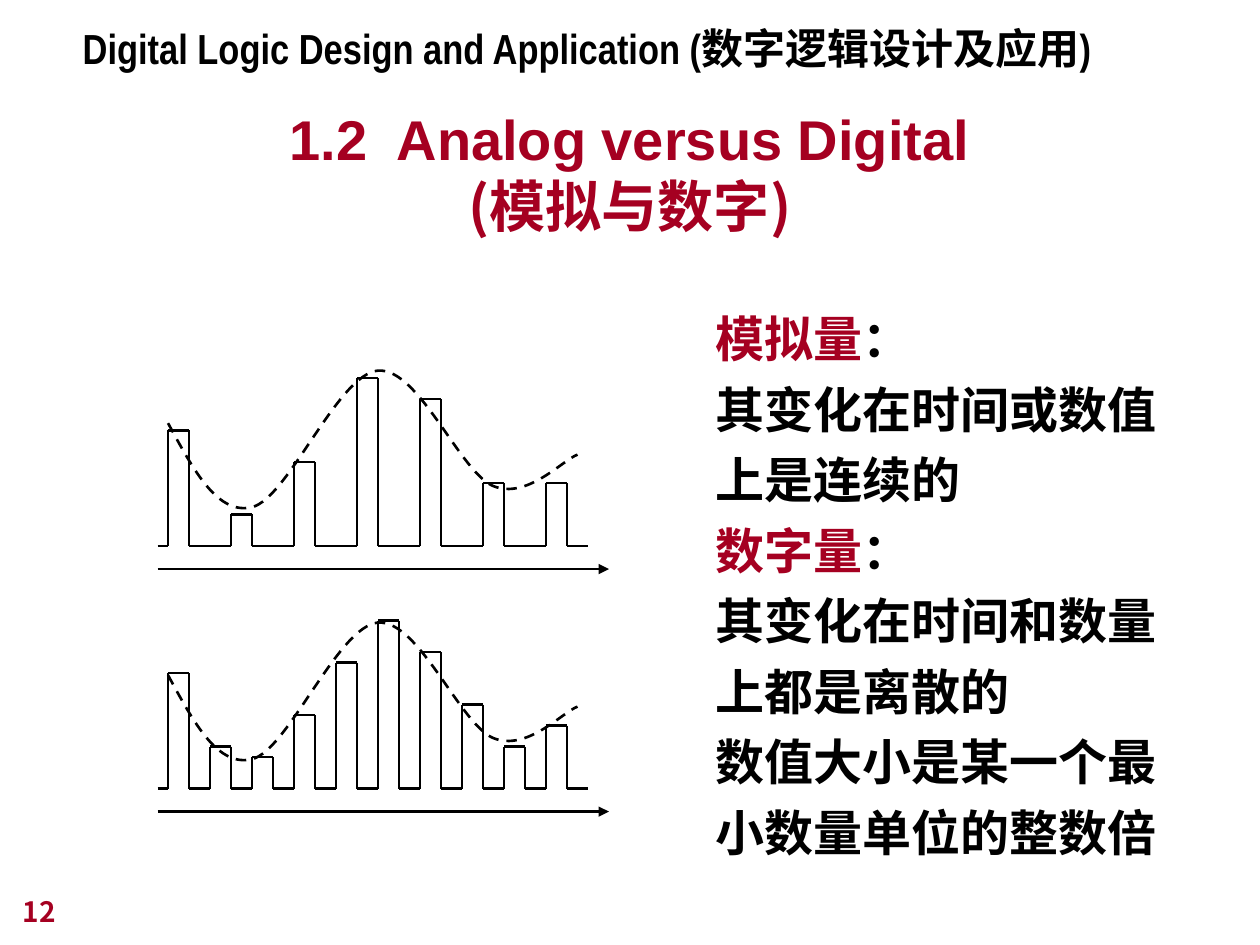
from itertools import pairwise
from lxml import etree
from pptx import Presentation, util as u
from pptx.dml.color import RGBColor
from pptx.enum import dml, shapes, text
from pptx.oxml import ns

CELL = u.Inches(1) / 12
RED, BLACK = "A50021", "000000"
SANS = "Noto Sans CJK SC"
WAVE = [(0, 5.3), (2.4, 9.7), (4.7, 14.1), (8, 13.3), (11.4, 12.5), (16.2, 0.6), (20, 0.3),
        (23.9, 0), (27.8, 10), (31, 11.3), (34.2, 12.6), (37.6, 8.8), (39, 8.3)]


def hue(code):
    """Turn a hex string into a colour."""
    return RGBColor.from_string(code)


def span(*cells):
    """Turn twelfths of an inch into whole lengths."""
    return [u.Emu(round(n * CELL)) for n in cells]


def add(node, tag, **attrs):
    """Append a drawing element to a node."""
    return etree.SubElement(node, ns.qn(tag), attrs)


def write(para, words, size, face, code, east=SANS):
    """Add one bold run to a paragraph."""
    run = para.add_run()
    run.text = words
    font = run.font
    font.size, font.name, font.bold = u.Pt(size), face, True
    font.color.rgb = hue(code)
    add(font._element, "a:ea", typeface=east)


def frame(shape, wrap=True, low=False):
    """Set the margins, wrap and anchor of a text shape."""
    body = shape.text_frame
    body.auto_size = text.MSO_AUTO_SIZE.NONE
    body.word_wrap = wrap
    body.vertical_anchor = text.MSO_ANCHOR.BOTTOM if low else text.MSO_ANCHOR.TOP
    body.margin_left = body.margin_right = u.Inches(0.1)
    body.margin_top = body.margin_bottom = u.Inches(0.05)
    return body


def pen(line):
    """Give a line its colour and width."""
    line.color.rgb = hue(BLACK)
    line.width = u.Pt(1.5)


def link(group, start, end, arrow=False):
    """Draw a straight line between two grid points."""
    line = group.shapes.add_connector(shapes.MSO_CONNECTOR.STRAIGHT, *span(*start, *end))
    pen(line.line)
    if arrow:
        add(line.line._get_or_add_ln(), "a:tailEnd", type="triangle")
    add(line._element.spPr, "a:effectLst")


def wave(group, left, top):
    """Draw the dashed analog curve from its top left corner."""
    spots = [span(left + x, top + y) for x, y in WAVE]
    pencil = group.shapes.build_freeform(*spots[0])
    pencil.add_line_segments(spots[1:], close=False)
    curve = pencil.convert_to_shape()
    curve.shadow.inherit = False
    curve.fill.background()
    pen(curve.line)
    curve.line.dash_style = dml.MSO_LINE.DASH
    path = curve._element.find(".//" + ns.qn("a:path"))
    legs = path.findall(ns.qn("a:lnTo"))
    for n in range(0, len(legs), 3):
        bend = add(path, "a:cubicBezTo")
        for leg in legs[n:n + 3]:
            bend.append(leg[0])
            path.remove(leg)


def plot(slide, box, base, step, bars):
    """Draw a curve, its sampled pulses and a time axis in a box."""
    left, top, width = box
    group = slide.shapes.add_group_shape()
    link(group, (left, base + 2.2), (left + width, base + 2.2), arrow=True)
    wave(group, left + 1, top)
    spots = [(left, base)]
    for n, high in enumerate(bars):
        x = left + 1 + n * step
        spots += [(x, base), (x, base - high), (x + 2, base - high), (x + 2, base)]
    spots.append((left + width - 2, base))
    for start, end in pairwise(spots):
        link(group, start, end)


def head(slide, box):
    """Write the course name along the top."""
    para = frame(slide.shapes.add_textbox(*span(*box)), wrap=False).paragraphs[0]
    para.line_spacing = u.Pt(31)
    write(para, "Digital Logic Design and Application (数字逻辑设计及应用)", 24,
          "Arial Narrow", BLACK)


def title(slide, box):
    """Place and fill the title in two lines."""
    shape = slide.shapes.title
    shape.left, shape.top, shape.width, shape.height = span(*box)
    para = frame(shape, low=True).paragraphs[0]
    para.alignment = text.PP_ALIGN.CENTER
    para.line_spacing = u.Pt(38)
    write(para, "1.2  Analog versus Digital", 32, "Arial", RED)
    para.add_line_break()
    write(para, "(模拟与数字)", 32, SANS, RED)


def notes(slide, box):
    """Write the two definitions beside the plots."""
    body = frame(slide.shapes.add_textbox(*span(*box)))
    rows = [[("模拟量", RED), ("：", BLACK)],
            [("其变化在时间或数值上是连续的", BLACK)],
            [("数字量", RED), ("：", BLACK)],
            [("其变化在时间和数量上都是离散的", BLACK)],
            [("数值大小是某一个最小数量单位的整数倍", BLACK)]]
    for n, row in enumerate(rows):
        para = body.add_paragraph() if n else body.paragraphs[0]
        para.line_spacing = u.Pt(40.3)
        for words, code in row:
            write(para, words, 28, "Roboto", code, "Roboto")


def page(slide, box):
    """Write the page number at the lower left."""
    para = frame(slide.shapes.add_textbox(*span(*box)), low=True).paragraphs[0]
    write(para, "12", 16, "Noto Sans CJK JP", RED)


def main():
    """Build and save the slide."""
    deck = Presentation()
    deck.slide_width, deck.slide_height = span(120, 90)
    slide = deck.slides.add_slide(deck.slide_layouts[5])
    page(slide, (1, 83, 25, 6))
    title(slide, (9, 8.2, 102, 15.1))
    plot(slide, (15, 59, 43), 75.1, 4, [11, 4, 3, 7, 12, 16, 13, 8, 4, 6])
    plot(slide, (15, 35, 43), 52, 6, [11, 3, 8, 16, 14, 6, 6])
    notes(slide, (67, 27.7, 46, 55))
    head(slide, (6.7, 1.2, 100.4, 6))
    deck.save("out.pptx")


if __name__ == "__main__":
    main()
